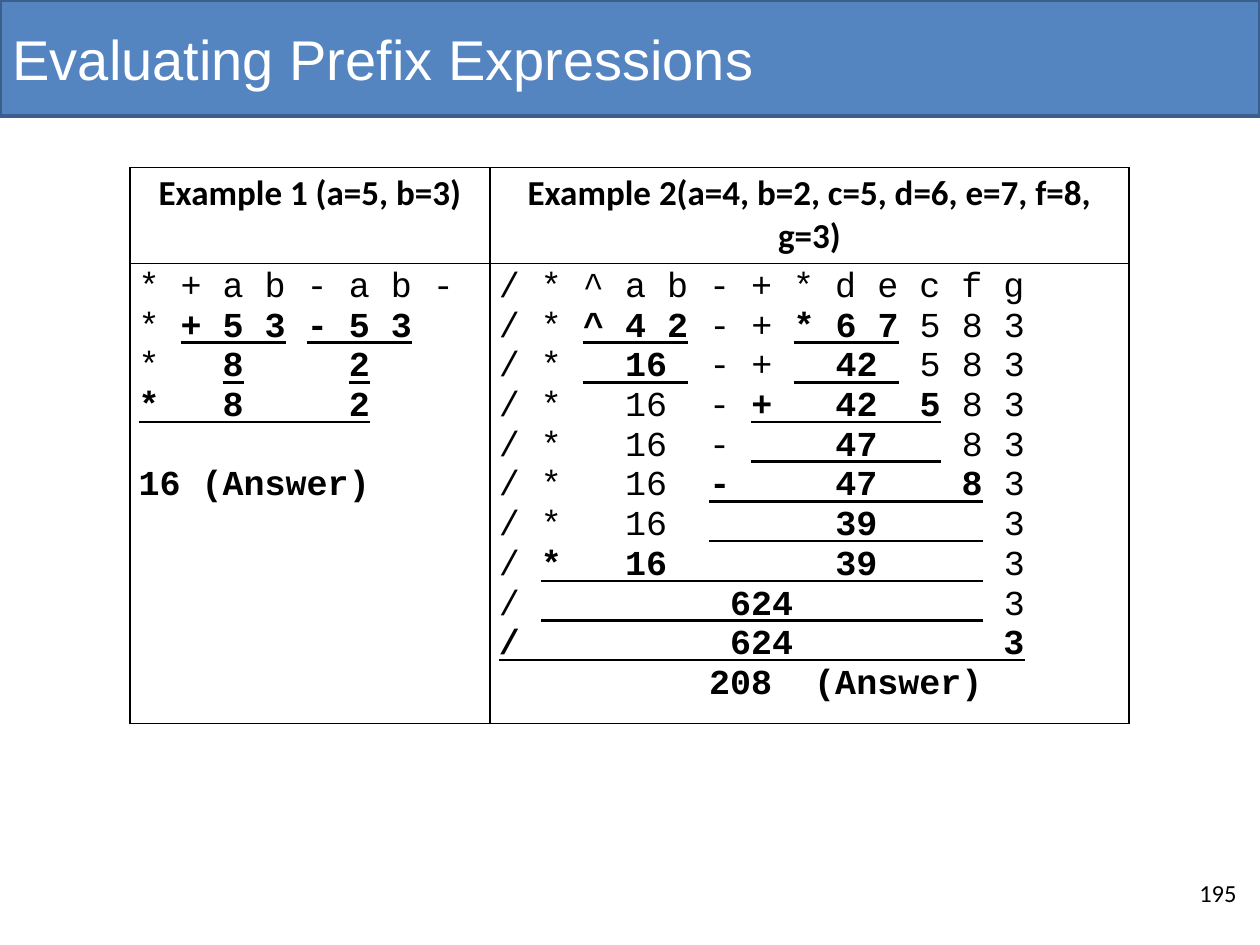
from lxml import etree
from pptx import Presentation
from pptx import util as u
from pptx.dml.color import RGBColor
from pptx.enum import shapes, text
from pptx.oxml import ns

BLACK = RGBColor(0x00, 0x00, 0x00)
WHITE = RGBColor(0xFF, 0xFF, 0xFF)
BLUE = RGBColor(0x54, 0x85, 0xC0)
DARK_BLUE = RGBColor(0x3A, 0x5F, 0x8C)

TITLE = "Evaluating Prefix Expressions"
PAGE_NUMBER = "195"
MARK = "|"
EXAMPLES = [
    {
        "heading": "Example 1 (a=5, b=3)",
        "width": 2.86,
        "steps": [
            "* + a b - a b -",
            "* |+ 5 3| |- 5 3|",
            "*   |8|     |2|",
            "|*   8     2|",
        ],
        "answer": "16 (Answer)",
        "answer_gap": 22.65,
    },
    {
        "heading": "Example 2(a=4, b=2, c=5, d=6, e=7, f=8, g=3)",
        "width": 5.07,
        "steps": [
            "/ * ^ a b - + * d e c f g",
            "/ * |^ 4 2| - + |* 6 7| 5 8 3",
            "/ * |  16 | - + |  42 | 5 8 3",
            "/ *   16  - |+   42  5| 8 3",
            "/ *   16  - |    47   | 8 3",
            "/ *   16  |-     47    8| 3",
            "/ *   16  |      39     | 3",
            "/ |*   16        39     | 3",
            "/ |         624         | 3",
            "|/          624          3|",
        ],
        "answer": "          208  (Answer)",
        "answer_gap": 0,
    },
]
ROW_HEIGHTS = [0.76, 3.65]
TITLE_FONT = {"name": "Arial", "size": u.Pt(32), "bold": False}
HEADING_FONT = {"name": "Calibri", "size": u.Pt(20), "bold": True}
STEP_FONT = {"name": "Courier New", "size": u.Pt(20), "bold": False}
ACTIVE_FONT = {**STEP_FONT, "bold": True, "underline": True}
ANSWER_FONT = {**STEP_FONT, "bold": True}
PAGE_FONT = {"name": "Calibri", "size": u.Pt(14)}
TITLE_FRAME = {"vertical_anchor": text.MSO_ANCHOR.MIDDLE, "word_wrap": True}
CELL_FORMAT = {
    "margin_left": u.Inches(0.07),
    "margin_right": u.Inches(0.07),
    "margin_top": u.Inches(0.04),
    "margin_bottom": u.Inches(0.04),
    "vertical_anchor": text.MSO_ANCHOR.TOP,
}


def set_attributes(target, values):
    for name, value in values.items():
        setattr(target, name, value)


def add_run(paragraph, content, font, color=BLACK):
    run = paragraph.add_run()
    run.text = content
    set_attributes(run.font, font)
    run.font.color.rgb = color


def add_title(slide):
    box = [u.Inches(length) for length in (0, 0, 10, 0.92)]
    title = slide.shapes.title
    set_attributes(title, dict(zip(("left", "top", "width", "height"), box)))
    set_attributes(title.text_frame, TITLE_FRAME)
    paragraph = title.text_frame.paragraphs[0]
    paragraph.alignment = text.PP_ALIGN.LEFT
    add_run(paragraph, TITLE, TITLE_FONT, WHITE)

    band = slide.shapes.add_shape(shapes.MSO_SHAPE.RECTANGLE, *box)
    band.shadow.inherit = False
    band.fill.solid()
    band.fill.fore_color.rgb = BLUE
    band.line.color.rgb = DARK_BLUE
    band.line.width = u.Pt(2)
    title.element.addprevious(band.element)


def format_cell(cell):
    set_attributes(cell, CELL_FORMAT)
    properties = cell._tc.get_or_add_tcPr()
    for side in ("L", "R", "T", "B"):
        border = etree.SubElement(properties, ns.qn(f"a:ln{side}"), w=str(u.Pt(1)))
        fill = etree.SubElement(border, ns.qn("a:solidFill"))
        etree.SubElement(fill, ns.qn("a:srgbClr"), val=str(BLACK))
    cell.fill.solid()
    cell.fill.fore_color.rgb = WHITE


def write_steps(frame, example):
    for number, step in enumerate(example["steps"]):
        paragraph = frame.add_paragraph() if number else frame.paragraphs[0]
        for index, part in enumerate(step.split(MARK)):
            if part:
                add_run(paragraph, part, ACTIVE_FONT if index % 2 else STEP_FONT)
    paragraph = frame.add_paragraph()
    paragraph.space_before = u.Pt(example["answer_gap"])
    add_run(paragraph, example["answer"], ANSWER_FONT)


def add_examples(slide):
    table = slide.shapes.add_table(
        len(ROW_HEIGHTS), len(EXAMPLES), u.Inches(1.03), u.Inches(1.33),
        u.Inches(sum(example["width"] for example in EXAMPLES)),
        u.Inches(sum(ROW_HEIGHTS)),
    ).table
    for row, height in zip(table.rows, ROW_HEIGHTS):
        row.height = u.Inches(height)
    for column, example in enumerate(EXAMPLES):
        table.columns[column].width = u.Inches(example["width"])
        heading, steps = (table.cell(row, column) for row in range(2))
        for cell in (heading, steps):
            format_cell(cell)
        paragraph = heading.text_frame.paragraphs[0]
        paragraph.alignment = text.PP_ALIGN.CENTER
        add_run(paragraph, example["heading"], HEADING_FONT)
        write_steps(steps.text_frame, example)


def add_page_number(slide):
    box = slide.shapes.add_textbox(*map(u.Inches, (9.42, 6.92, 0.5, 0.4)))
    box.text_frame.word_wrap = True
    add_run(box.text_frame.paragraphs[0], PAGE_NUMBER, PAGE_FONT)


def main():
    presentation = Presentation()
    presentation.slide_width = u.Inches(10)
    presentation.slide_height = u.Inches(7.5)
    slide = presentation.slides.add_slide(presentation.slide_layouts[5])
    add_title(slide)
    add_examples(slide)
    add_page_number(slide)
    presentation.save("out.pptx")


if __name__ == "__main__":
    main()
